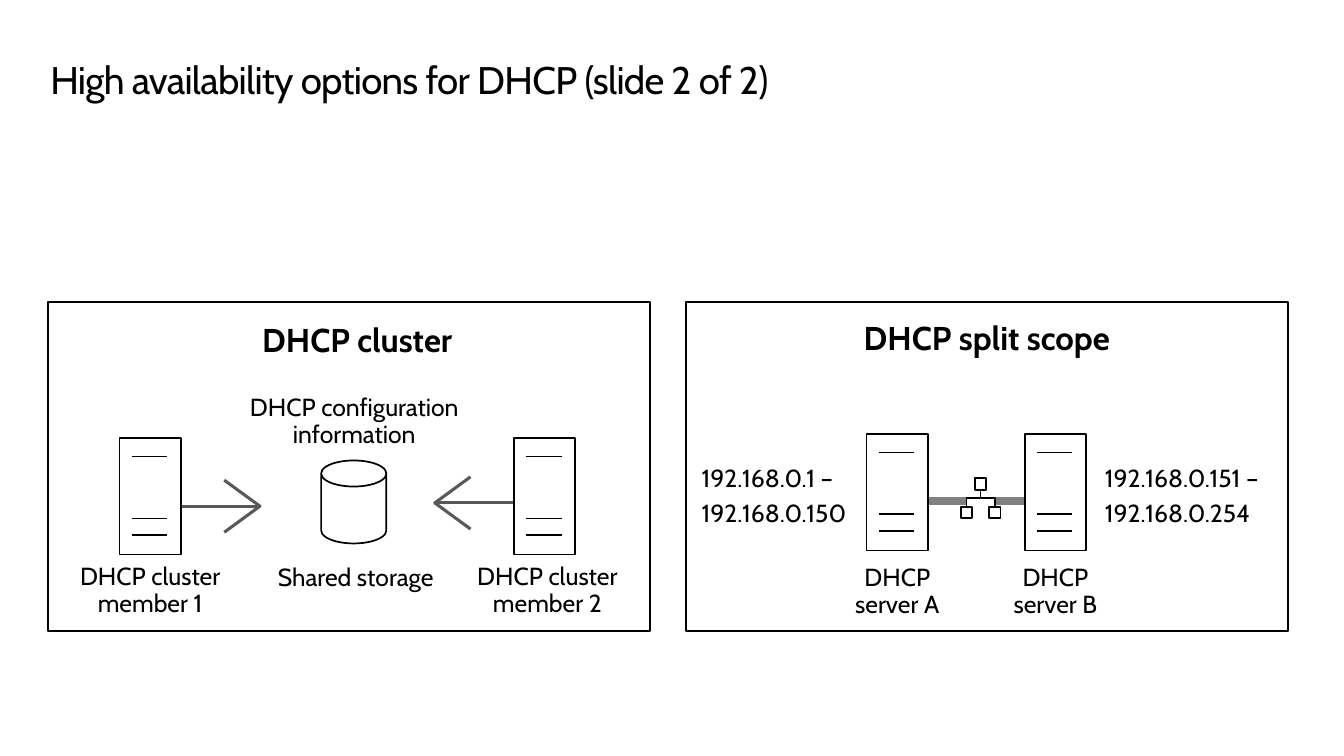
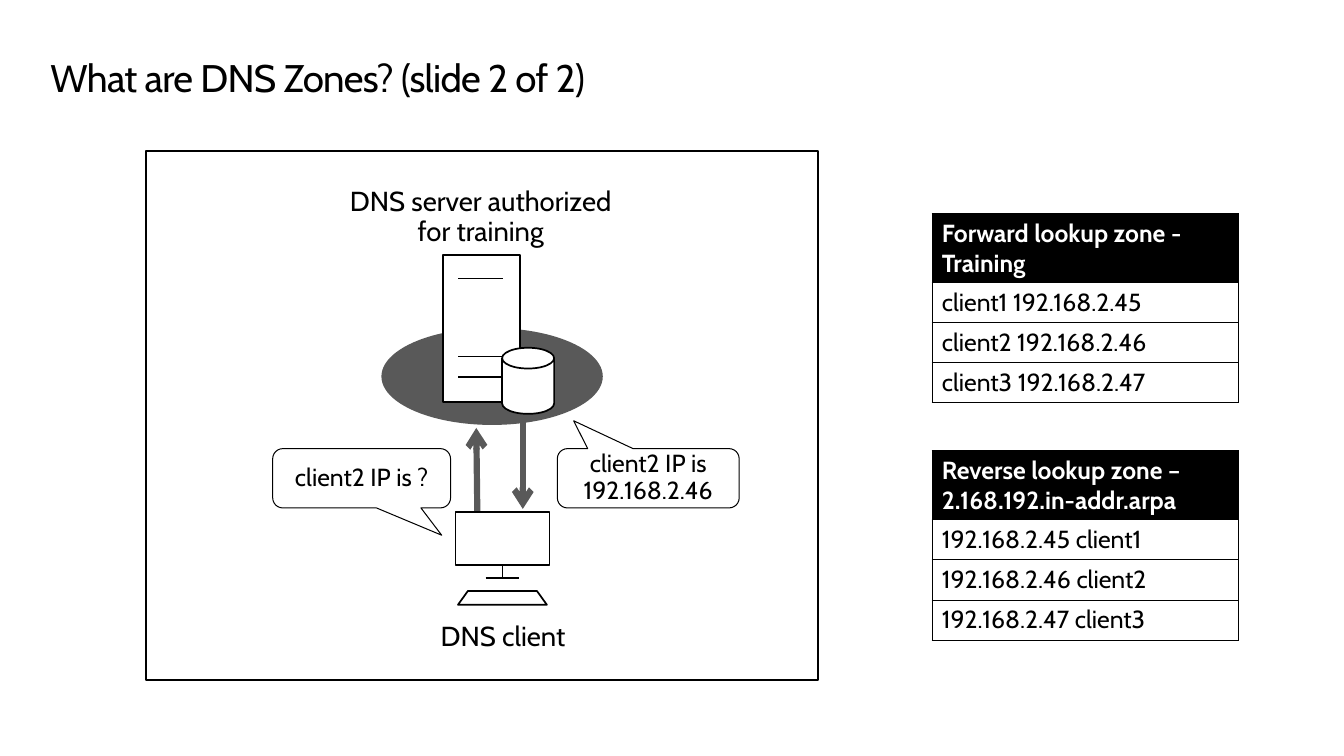
from pptx import Presentation
from pptx.dml.color import RGBColor
from pptx.enum.shapes import MSO_CONNECTOR, MSO_SHAPE
from pptx.enum.text import MSO_ANCHOR, PP_ALIGN
from pptx.oxml.ns import qn
from pptx.util import Pt
from lxml import etree

BLACK = RGBColor(0x00, 0x00, 0x00)
WHITE = RGBColor(0xFF, 0xFF, 0xFF)
DARK_GREY = RGBColor(0x59, 0x59, 0x59)
MID_GREY = RGBColor(0x80, 0x80, 0x80)

LEFT, CENTER = PP_ALIGN.LEFT, PP_ALIGN.CENTER
TOP, MIDDLE = MSO_ANCHOR.TOP, MSO_ANCHOR.MIDDLE
RECTANGLE, OVAL, CAN = MSO_SHAPE.RECTANGLE, MSO_SHAPE.OVAL, MSO_SHAPE.CAN
CALLOUT = MSO_SHAPE.ROUNDED_RECTANGULAR_CALLOUT
STRAIGHT = MSO_CONNECTOR.STRAIGHT


def box_outline(x, y, w, h):
    return [(x, y), (x + w, y), (x + w, y + h), (x, y + h)], True


class Deck:
    font = "Cabin"
    icon_line = 1.25
    panel_line = 1.5
    thin_line = 0.75
    line_spacing = 0.9
    space_after = 6
    label_insets = (14.4, 11.5, 14.4, 11.5)

    def __init__(self):
        self.prs = Presentation()
        self.prs.slide_width = Pt(979.2)
        self.prs.slide_height = Pt(550.8)
        self.slide = None

    def new_slide(self, title, y):
        self.slide = self.prs.slides.add_slide(self.prs.slide_layouts[5])
        heading = self.slide.shapes.title
        heading.left, heading.top = Pt(36.7), Pt(y)
        heading.width, heading.height = Pt(908), Pt(32.4)
        self.set_text(heading.text_frame, [title], 28, LEFT, TOP, (0, 0, 7.2, 0))
        paragraph = heading.text_frame.paragraphs[0]
        paragraph.space_after = Pt(0)
        paragraph.runs[0].font._element.set("spc", "-50")

    def add_run(self, paragraph, text, size, color=BLACK, bold=False):
        run = paragraph.add_run()
        run.text = text
        run.font.name = self.font
        run.font.size = Pt(size)
        run.font.bold = bold
        run.font.color.rgb = color

    def set_text(self, frame, lines, size, align, anchor, insets, bold=False):
        frame.word_wrap = True
        frame.vertical_anchor = anchor
        (frame.margin_left, frame.margin_top,
         frame.margin_right, frame.margin_bottom) = map(Pt, insets)
        for index, line in enumerate(lines):
            paragraph = frame.add_paragraph() if index else frame.paragraphs[0]
            paragraph.alignment = align
            paragraph.line_spacing = self.line_spacing
            paragraph.space_after = Pt(self.space_after)
            self.add_run(paragraph, line, size, bold=bold)

    def label(self, x, y, w, h, *lines, size=18, align=CENTER, bold=False):
        box = self.slide.shapes.add_textbox(Pt(x), Pt(y), Pt(w), Pt(h))
        self.set_text(box.text_frame, lines, size, align, TOP, self.label_insets, bold)

    def paint(self, shape, fill, line, width):
        shape.shadow.inherit = False
        if fill is None:
            shape.fill.background()
        else:
            shape.fill.solid()
            shape.fill.fore_color.rgb = fill
        if line is None:
            shape.line.fill.background()
        else:
            shape.line.color.rgb = line
            shape.line.width = Pt(width)

    def shape(self, kind, x, y, w, h, fill=WHITE, line=BLACK, width=icon_line,
              adjustments=()):
        shape = self.slide.shapes.add_shape(kind, Pt(x), Pt(y), Pt(w), Pt(h))
        for index, value in enumerate(adjustments):
            shape.adjustments[index] = value
        self.paint(shape, fill, line, width)
        return shape

    def panel(self, x, y, w, h):
        self.shape(RECTANGLE, x, y, w, h, fill=None, width=self.panel_line)

    def storage(self, x, y, w, h):
        self.shape(CAN, x, y, w, h, adjustments=(0.4,))

    def callout(self, x, y, w, h, text, pointer):
        bubble = self.shape(CALLOUT, x, y, w, h, width=self.thin_line,
                            adjustments=(*pointer, 0.17))
        self.set_text(bubble.text_frame, [text], 18, CENTER, MIDDLE, (0, 0, 0, 0))

    def drawing(self, contours, fill=WHITE, line=BLACK, width=icon_line):
        builder = None
        for points, closed in contours:
            start, *rest = [(Pt(x), Pt(y)) for x, y in points]
            if builder is None:
                builder = self.slide.shapes.build_freeform(*start)
            else:
                builder.move_to(*start)
            builder.add_line_segments(rest, close=closed)
        self.paint(builder.convert_to_shape(), fill, line, width)

    def server(self, x, y, w, h):
        slots = [([(x + 0.2 * w, y + part * h), (x + 0.78 * w, y + part * h)], False)
                 for part in (0.16, 0.69, 0.83)]
        self.drawing([box_outline(x, y, w, h), *slots])

    def open_arrow(self, tail, tip, y):
        barb = tip - 26 if tip > tail else tip + 26
        self.drawing([([(barb, y - 19), (tip, y), (barb, y + 19)], False),
                      ([(tip, y), (tail, y)], False)],
                     fill=None, line=DARK_GREY, width=2.25)

    def network(self, center, y):
        side, reach, bus = 8.4, 10.3, y + 14.4
        left, right, low = center - reach, center + reach, y + 20.7
        nodes = [(center, y), (left, low), (right, low)]
        boxes = [box_outline(x - side / 2, top, side, side) for x, top in nodes]
        self.drawing([*boxes,
                      ([(center, y + side), (center, bus)], False),
                      ([(left, low), (left, bus), (right, bus), (right, low)], False)])

    def computer(self, center, y):
        keyboard = [(center - 25.2, y + 57.6), (center + 25.2, y + 57.6),
                    (center + 32.4, y + 67.6), (center - 32.4, y + 67.6)]
        self.drawing([box_outline(center - 34.3, y, 68.6, 38.8),
                      (keyboard, True),
                      ([(center - 12.3, y + 48.2), (center + 12.3, y + 48.2)], False),
                      ([(center, y + 38.8), (center, y + 48.2)], False)])

    def line(self, start, end, color, width, arrow=False):
        connector = self.slide.shapes.add_connector(
            STRAIGHT, *map(Pt, start), *map(Pt, end))
        connector.line.color.rgb = color
        connector.line.width = Pt(width)
        properties = connector._element.spPr
        if arrow:
            outline = properties.find(qn("a:ln"))
            etree.SubElement(outline, qn("a:tailEnd"), type="arrow")
        etree.SubElement(properties, qn("a:effectLst"))

    def cell_borders(self, cell):
        properties = cell._tc.get_or_add_tcPr()
        for side in ("a:lnL", "a:lnR", "a:lnT", "a:lnB"):
            border = etree.SubElement(properties, qn(side), w=str(Pt(self.thin_line)))
            fill = etree.SubElement(border, qn("a:solidFill"))
            etree.SubElement(fill, qn("a:srgbClr"), val=str(BLACK))

    def zone_table(self, y, heading, records):
        header_height, row_height = 50, 29.2
        rows = [heading, *records]
        height = header_height + row_height * len(records)
        table = self.slide.shapes.add_table(
            len(rows), 1, Pt(679), Pt(y), Pt(223.2), Pt(height)).table
        for index, text in enumerate(rows):
            is_header = index == 0
            table.rows[index].height = Pt(header_height if is_header else row_height)
            cell = table.cell(index, 0)
            self.cell_borders(cell)
            cell.fill.solid()
            cell.fill.fore_color.rgb = BLACK if is_header else WHITE
            self.add_run(cell.text_frame.paragraphs[0], text, 18,
                         WHITE if is_header else BLACK, is_header)


def availability_slide(deck):
    deck.new_slide("High availability options for DHCP (slide 2 of 2)", 44.6)
    for x in (35.3, 499.7):
        deck.panel(x, 220.3, 438.5, 239.8)

    deck.label(32.4, 224.6, 455.8, 49.7, "DHCP cluster", size=24, bold=True)
    deck.storage(234, 335.5, 47.5, 60.5)
    deck.label(159.1, 276.5, 198, 62.6, "DHCP configuration information")
    deck.label(182.2, 401.8, 154, 43.2, "Shared storage")
    members = ((32.4, 87.1, "DHCP cluster member 1"),
               (321.8, 374.4, "DHCP cluster member 2"))
    for label_x, server_x, name in members:
        deck.label(label_x, 399.6, 154, 62.6, name)
        deck.server(server_x, 319, 44.6, 85)
    deck.open_arrow(132.5, 189.4, 368.8)
    deck.open_arrow(373.7, 316.8, 366.4)

    deck.label(499.7, 223.2, 438.5, 49.7, "DHCP split scope", size=24, bold=True)
    deck.line((674.6, 365), (746.6, 365), MID_GREY, 6)
    scopes = ((594, 631.4, "DHCP server A", 496.8, 140.4,
               ("192.168.0.1 –", "192.168.0.150")),
              (709.2, 746.6, "DHCP server B", 790.6, 156.2,
               ("192.168.0.151 –", "192.168.0.254")))
    for label_x, server_x, name, range_x, range_width, addresses in scopes:
        deck.label(label_x, 400.3, 119.5, 62.6, name)
        deck.server(server_x, 316.1, 44.6, 85)
        deck.label(range_x, 328.3, range_width, 68.4, *addresses, align=LEFT)
    deck.network(714.4, 348.5)


def zones_slide(deck):
    deck.new_slide("What are DNS Zones? (slide 2 of 2)", 43.2)
    deck.line((347.8, 375.1), (347, 311.8), DARK_GREY, 4.5, arrow=True)
    deck.line((380.9, 303.1), (380.9, 370.8), DARK_GREY, 4.5, arrow=True)
    deck.panel(106.6, 110.2, 489.6, 385.2)
    deck.shape(OVAL, 277.9, 239, 161.3, 70.6, fill=DARK_GREY, line=None)
    deck.label(304.6, 442.8, 123.8, 45.4, "DNS client", size=20)
    deck.computer(366.1, 373)
    deck.callout(406.1, 326.9, 132.5, 43.2, "client2 IP is 192.168.2.46",
                 (-0.41, -0.97))
    deck.callout(198.7, 326.9, 129.6, 43.2, "client2 IP is ?", (0.45, 0.96))
    deck.server(322.6, 185.8, 56.5, 107.3)
    deck.label(226.8, 125.3, 247, 67, "DNS server authorized for training", size=20)
    deck.storage(365.8, 253.4, 37.9, 48.2)

    clients = [("client1", "192.168.2.45"), ("client2", "192.168.2.46"),
               ("client3", "192.168.2.47")]
    deck.zone_table(155.5, "Forward lookup zone - Training",
                    [f"{name} {address}" for name, address in clients])
    deck.zone_table(328.3, "Reverse lookup zone –2.168.192.in-addr.arpa",
                    [f"{address} {name}" for name, address in clients])


def main():
    deck = Deck()
    availability_slide(deck)
    zones_slide(deck)
    deck.prs.save("out.pptx")


if __name__ == "__main__":
    main()
